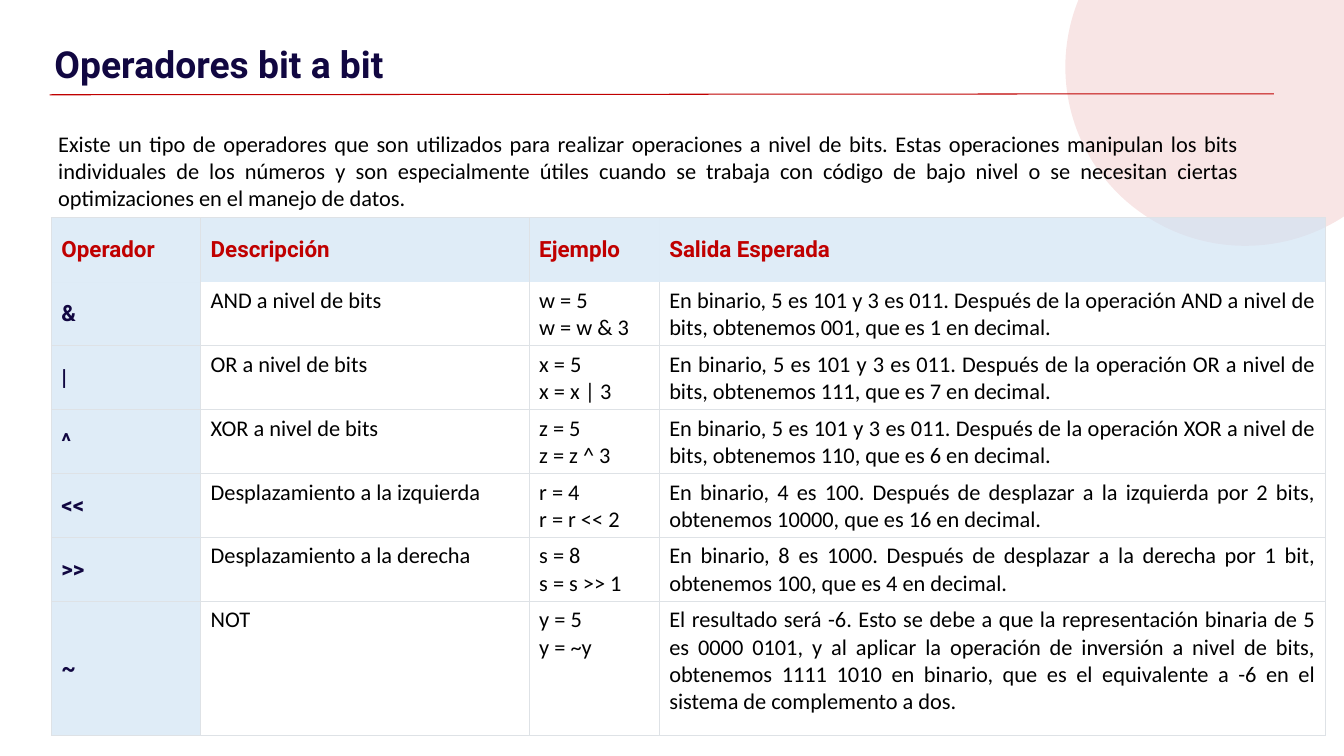
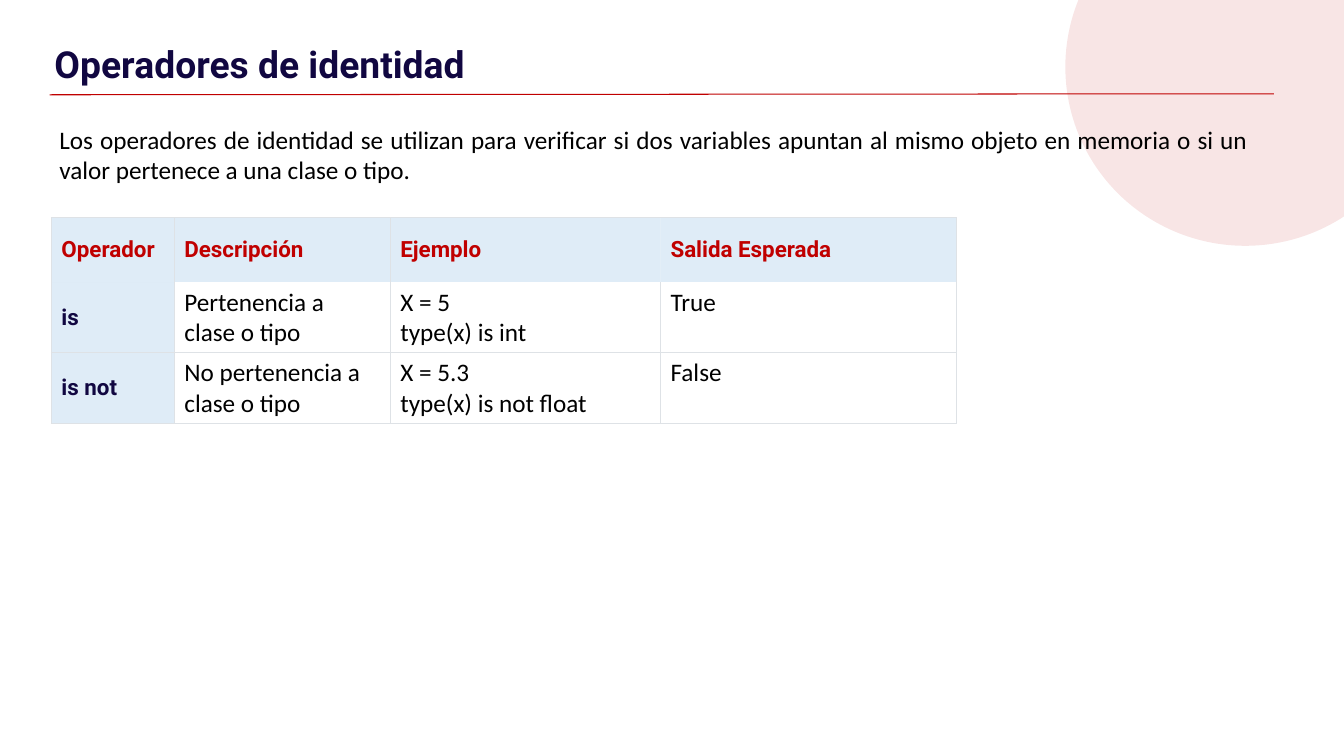
"""Build two slides about bitwise and identity operators."""
import pptx
import pptx.dml.color
import pptx.enum.shapes
import pptx.enum.text
import pptx.oxml
import pptx.oxml.ns
import pptx.util

Pt = pptx.util.Pt
ALIGN = pptx.enum.text.PP_ALIGN
ANCHOR = pptx.enum.text.MSO_ANCHOR
COLORS = {
    "red": "C00000",
    "navy": "110741",
    "black": "000000",
    "white": "FFFFFF",
    "band": "CFE2F3",
    "grid": "DEE2E6",
}
PLAIN_TABLE = "{2D5ABB26-0587-4C30-8999-92F81FD0307C}"
HEADINGS = ("Operador", "Descripción", "Ejemplo", "Salida Esperada")
HEADING_HEIGHT = 46
ROW_HEIGHT = 42.5

BITWISE_INTRO = (
    "Existe un tipo de operadores que son utilizados para realizar operaciones a nivel de bits. "
    "Estas operaciones manipulan los bits individuales de los números y son especialmente útiles "
    "cuando se trabaja con código de bajo nivel o se necesitan ciertas optimizaciones en el manejo "
    "de datos."
)
BITWISE_ROWS = [
    ("&", "AND a nivel de bits", "w = 5\nw = w & 3",
     "En binario, 5 es 101 y 3 es 011. Después de la operación AND a nivel de bits, "
     "obtenemos 001, que es 1 en decimal."),
    ("|", "OR a nivel de bits", "x = 5\nx = x | 3",
     "En binario, 5 es 101 y 3 es 011. Después de la operación OR a nivel de bits, "
     "obtenemos 111, que es 7 en decimal."),
    ("^", "XOR a nivel de bits", "z = 5\nz = z ^ 3",
     "En binario, 5 es 101 y 3 es 011. Después de la operación XOR a nivel de bits, "
     "obtenemos 110, que es 6 en decimal."),
    ("<<", "Desplazamiento a la izquierda", "r = 4\nr = r << 2",
     "En binario, 4 es 100. Después de desplazar a la izquierda por 2 bits, "
     "obtenemos 10000, que es 16 en decimal."),
    (">>", "Desplazamiento a la derecha", "s = 8\ns = s >> 1",
     "En binario, 8 es 1000. Después de desplazar a la derecha por 1 bit, "
     "obtenemos 100, que es 4 en decimal."),
    ("~", "NOT", "y = 5\ny = ~y",
     "El resultado será -6. Esto se debe a que la representación binaria de 5 es 0000 0101, "
     "y al aplicar la operación de inversión a nivel de bits, obtenemos 1111 1010 en binario, "
     "que es el equivalente a -6 en el sistema de complemento a dos."),
]
IDENTITY_INTRO = (
    "Los operadores de identidad se utilizan para verificar si dos variables apuntan al mismo "
    "objeto en memoria o si un valor pertenece a una clase o tipo."
)
IDENTITY_ROWS = [
    ("is", "Pertenencia a clase o tipo", "X = 5\ntype(x) is int", "True"),
    ("is not", "No pertenencia a clase o tipo", "X = 5.3\ntype(x) is not float", "False"),
]


def rgb(name):
    return pptx.dml.color.RGBColor.from_string(COLORS[name])


def paint(fill, color, parent, opacity=100):
    fill.solid()
    fill.fore_color.rgb = rgb(color)
    if opacity < 100:
        tint = parent.find(pptx.oxml.ns.qn("a:solidFill"))[0]
        alpha = tint.makeelement(pptx.oxml.ns.qn("a:alpha"), {"val": str(opacity * 1000)})
        tint.append(alpha)


def write(frame, text, size, font="Calibri", color="black", bold=False, align=ALIGN.LEFT):
    frame.text = text
    for paragraph in frame.paragraphs:
        paragraph.alignment = align
        for run in paragraph.runs:
            run.font.name = font
            run.font.size = Pt(size)
            run.font.bold = bold
            run.font.color.rgb = rgb(color)


def add_text(slide, left, top, width, height, text, size, **style):
    frame = slide.shapes.add_textbox(Pt(left), Pt(top), Pt(width), Pt(height)).text_frame
    frame.word_wrap = True
    write(frame, text, size, **style)
    return frame


def add_frame(slide, title):
    disc = slide.shapes.add_shape(
        pptx.enum.shapes.MSO_SHAPE.OVAL, Pt(761), Pt(-80), Pt(257), Pt(255.6))
    disc.shadow.inherit = False
    disc.line.fill.background()
    paint(disc.fill, "red", disc.element.spPr, 10)

    rule = slide.shapes.add_connector(
        pptx.enum.shapes.MSO_CONNECTOR.STRAIGHT, Pt(35.5), Pt(67.7), Pt(910), Pt(67))
    rule.line.color.rgb = rgb("red")
    rule.line.width = Pt(0.75)
    properties = rule.element.spPr
    properties.append(properties.makeelement(pptx.oxml.ns.qn("a:effectLst"), {}))

    heading = add_text(slide, 29.5, 29.5, 826, 31, title, 26.6,
                       font="Roboto", color="navy", bold=True)
    heading.margin_left = heading.margin_right = Pt(9.4)
    heading.margin_top = heading.margin_bottom = 0


def border_sides(row, column, last_column):
    if row > 1:
        return "LRTB"
    if row == 1:
        return "LRB"
    left = "L" if column < 2 else ""
    right = "R" if column in (0, last_column) else ""
    return left + right + "T"


def add_borders(cell, sides):
    properties = cell._tc.get_or_add_tcPr()
    for side in sides:
        properties.append(pptx.oxml.parse_xml(
            f'<a:ln{side} {pptx.oxml.ns.nsdecls("a")} w="{Pt(0.75)}"><a:solidFill>'
            f'<a:srgbClr val="{COLORS["grid"]}"/></a:solidFill></a:ln{side}>'))


def add_operator_table(slide, widths, heights, rows, body_size):
    content = [HEADINGS, *rows]
    graphic = slide.shapes.add_table(
        len(content), len(widths), Pt(36.7), Pt(155.5), Pt(sum(widths)), Pt(sum(heights)))
    table = graphic.table
    table.first_row = table.horz_banding = False
    table._tbl.tblPr.find(pptx.oxml.ns.qn("a:tableStyleId")).text = PLAIN_TABLE
    for column, width in zip(table.columns, widths):
        column.width = Pt(width)
    for row, height in zip(table.rows, heights):
        row.height = Pt(height)
    for r, texts in enumerate(content):
        for c, text in enumerate(texts):
            cell = table.cell(r, c)
            add_borders(cell, border_sides(r, c, len(widths) - 1))
            if r == 0 or c == 0:
                cell.vertical_anchor = ANCHOR.MIDDLE
                paint(cell.fill, "band", cell._tc.tcPr, 65)
                write(cell.text_frame, text, 16, font="Roboto",
                      color="navy" if r else "red", bold=True)
            else:
                paint(cell.fill, "white", cell._tc.tcPr)
                write(cell.text_frame, text, body_size,
                      align=ALIGN.LEFT if c == 1 else ALIGN.JUSTIFY)


def main():
    deck = pptx.Presentation()
    deck.slide_width, deck.slide_height = Pt(960), Pt(540)
    blank = deck.slide_layouts[6]

    bitwise = deck.slides.add_slide(blank)
    add_frame(bitwise, "Operadores bit a bit")
    add_text(bitwise, 34.5, 89.3, 857.5, 51, BITWISE_INTRO, 16, align=ALIGN.JUSTIFY)
    add_operator_table(bitwise, (106.6, 234.7, 92.9, 476),
                       [HEADING_HEIGHT] + [ROW_HEIGHT] * 5 + [95.8], BITWISE_ROWS, 16)

    identity = deck.slides.add_slide(blank)
    add_frame(identity, "Operadores de identidad")
    add_text(identity, 35.3, 85, 863.3, 47.5, IDENTITY_INTRO, 18, align=ALIGN.JUSTIFY)
    add_operator_table(identity, (87.8, 154.3, 193, 211.2),
                       [HEADING_HEIGHT] + [ROW_HEIGHT] * 2, IDENTITY_ROWS, 18)

    deck.save("out.pptx")


if __name__ == "__main__":
    main()
